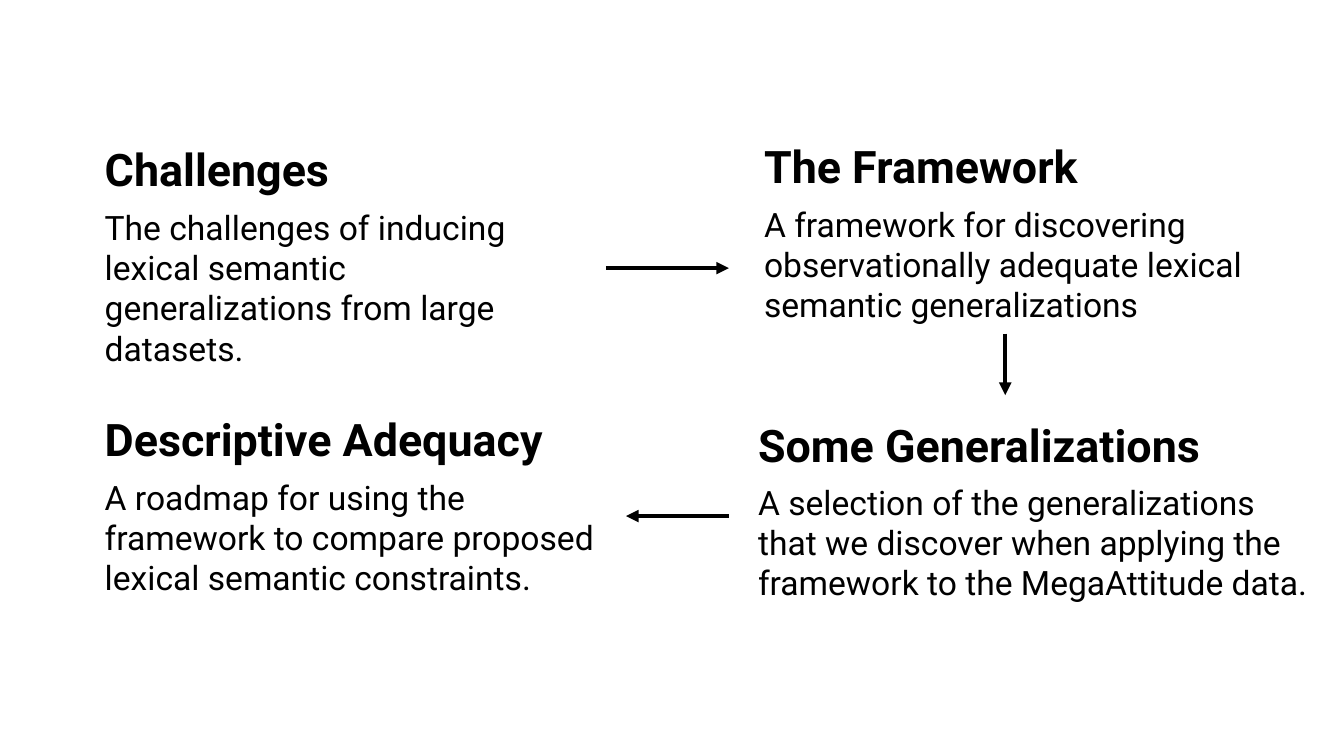
from lxml import etree
from pptx import Presentation
from pptx.dml.color import RGBColor
from pptx.enum import shapes, text
from pptx.oxml import ns
from pptx.util import Inches, Pt

FONT = "Roboto"
BLACK = "000000"
HEADING_HEIGHT = 0.64

# heading, summary, left, top, heading width, summary width, summary height
TOPICS = [
    ("Challenges",
     "The challenges of inducing lexical semantic generalizations from large datasets.",
     0.94, 1.36, 3.9, 4.9, 1.31),
    ("The Framework",
     "A framework for discovering observationally adequate lexical semantic generalizations",
     7.48, 1.33, 5.08, 5.2, 1.78),
    ("Some Generalizations",
     "A selection of the generalizations that we discover when applying "
     "the framework to the MegaAttitude data.",
     7.42, 4.09, 5.08, 5.68, 1.31),
    ("Descriptive Adequacy",
     "A roadmap for using the framework to compare proposed lexical semantic constraints.",
     0.94, 4.04, 5.52, 5.22, 1.31),
]

# start x, start y, end x, end y
ARROWS = [
    (6.01, 2.66, 7.23, 2.66),
    (9.97, 3.31, 9.97, 3.92),
    (7.23, 5.12, 6.21, 5.12),
]


def color(value):
    return RGBColor.from_string(value)


def add_text(page, words, left, top, width, height, size=24, bold=False, fill=BLACK):
    box = page.shapes.add_textbox(Inches(left), Inches(top), Inches(width), Inches(height))
    frame = box.text_frame
    frame.word_wrap = True
    frame.auto_size = text.MSO_AUTO_SIZE.SHAPE_TO_FIT_TEXT
    span = frame.paragraphs[0].add_run()
    span.text = words
    span.font.name = FONT
    span.font.size = Pt(size)
    span.font.bold = bold
    span.font.color.rgb = color(fill)


def add_topic(page, heading, summary, left, top, heading_width, summary_width, summary_height):
    """Place a bold heading with its summary directly below."""
    add_text(page, heading, left, top, heading_width, HEADING_HEIGHT, size=32, bold=True)
    add_text(page, summary, left, top + HEADING_HEIGHT, summary_width, summary_height)


def add_arrow(page, *ends):
    arrow = page.shapes.add_connector(shapes.MSO_CONNECTOR.STRAIGHT, *map(Inches, ends))
    arrow.line.color.rgb = color(BLACK)
    arrow.line.width = Pt(3)
    etree.SubElement(arrow.line._get_or_add_ln(), ns.qn("a:tailEnd"), type="triangle")
    etree.SubElement(arrow._element.spPr, ns.qn("a:effectLst"))


def main():
    deck = Presentation()
    deck.slide_width, deck.slide_height = Inches(13.33), Inches(7.5)
    page = deck.slides.add_slide(deck.slide_layouts[6])
    for topic in TOPICS:
        add_topic(page, *topic)
    for ends in ARROWS:
        add_arrow(page, *ends)
    deck.save("out.pptx")


if __name__ == "__main__":
    main()
